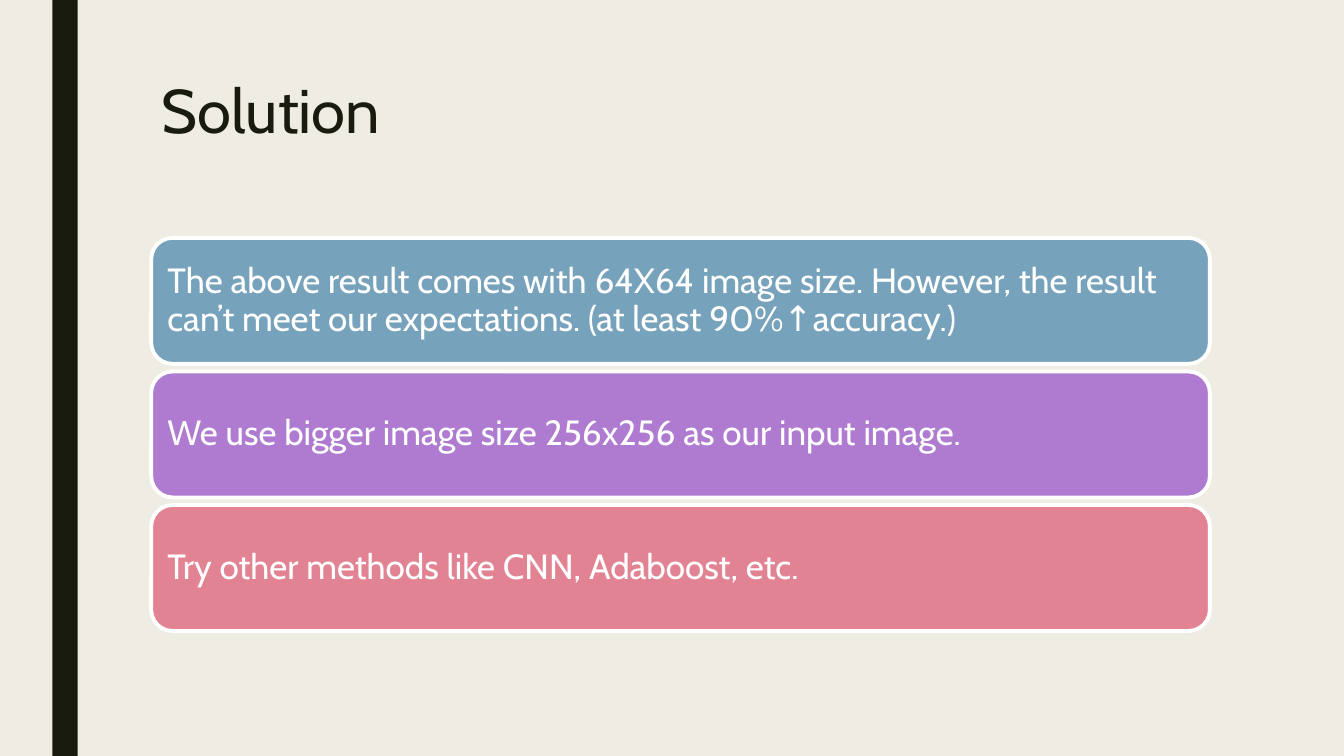
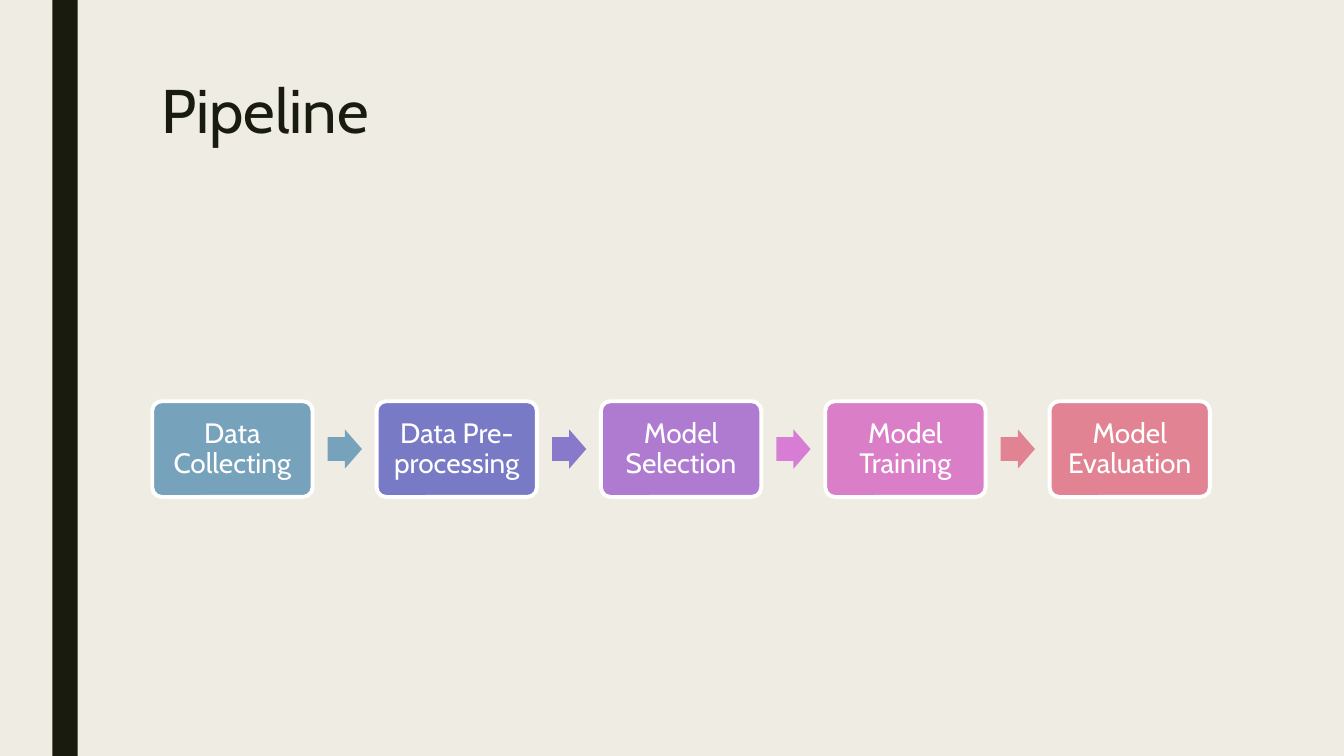
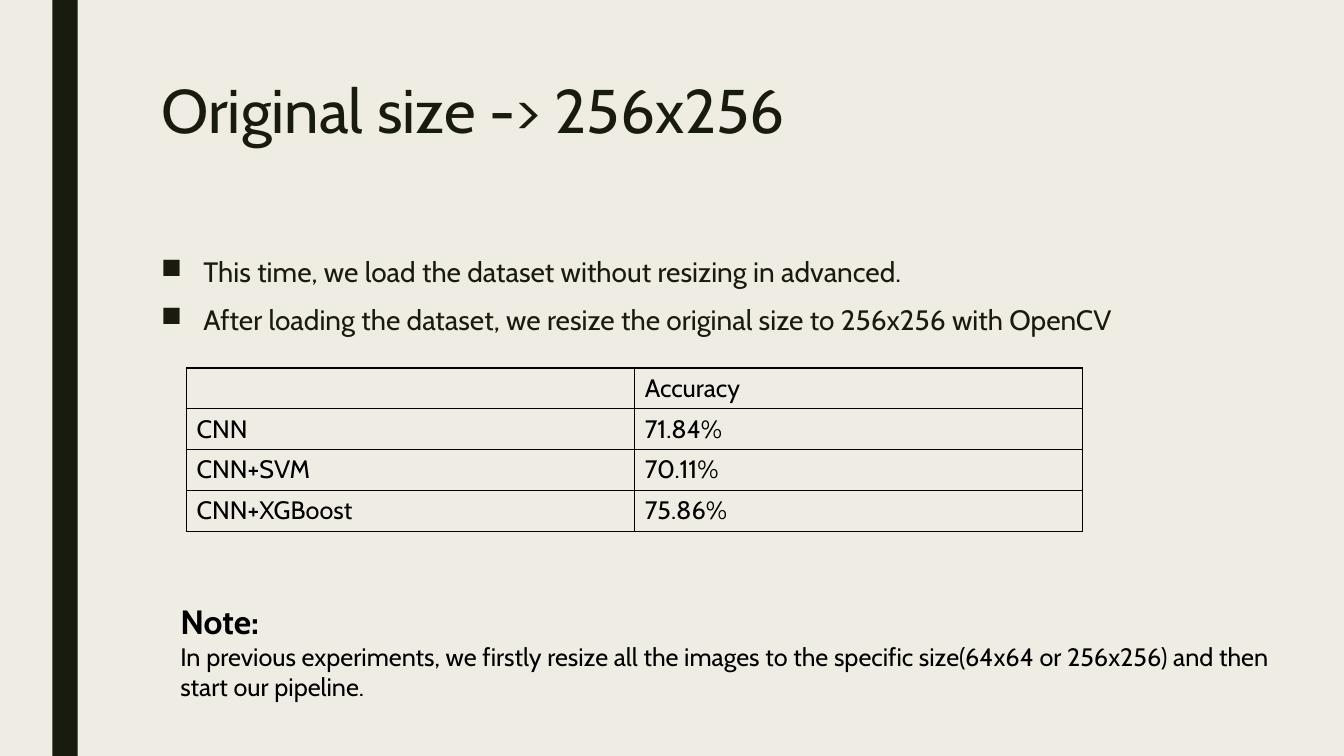
"""Build three slides on an image classification project: solution, pipeline and results."""
from dataclasses import dataclass

from lxml import etree
from pptx import Presentation
from pptx.dml.color import RGBColor
from pptx.enum.shapes import MSO_SHAPE
from pptx.enum.text import MSO_ANCHOR, MSO_AUTO_SIZE, PP_ALIGN
from pptx.oxml.ns import qn
from pptx.util import Inches, Pt

RECT = MSO_SHAPE.RECTANGLE
ROUNDED = MSO_SHAPE.ROUNDED_RECTANGLE
ARROW = MSO_SHAPE.RIGHT_ARROW
LEFT, CENTER = PP_ALIGN.LEFT, PP_ALIGN.CENTER
TOP, MIDDLE = MSO_ANCHOR.TOP, MSO_ANCHOR.MIDDLE
NO_FIT = MSO_AUTO_SIZE.NONE
FIT_SHAPE = MSO_AUTO_SIZE.SHAPE_TO_FIT_TEXT

FONT = "Cabin"
COLORS = {
    "paper": "EFEDE3",
    "ink": "191B0E",
    "black": "000000",
    "white": "FFFFFF",
    "blue": "77A2BB",
    "indigo": "797AC6",
    "violet": "8879CA",
    "purple": "AE7BD0",
    "orchid": "D77DD6",
    "pink": "DA7FC7",
    "rose": "E28394",
}
SLIDE_WIDTH, SLIDE_HEIGHT = 13.33, 7.5
CONTENT_LEFT, CONTENT_WIDTH = 1.5, 10.5


@dataclass(frozen=True)
class Box:
    """Position and size in inches."""
    left: float
    top: float
    width: float
    height: float

    def lengths(self):
        return tuple(Inches(v) for v in (self.left, self.top, self.width, self.height))


@dataclass(frozen=True)
class Card:
    """Wording and fill of a rounded card, and the fill of the arrow after it."""
    text: str
    color: str
    arrow_color: str = ""


@dataclass(frozen=True)
class CardStyle:
    """Look shared by the cards of one slide."""
    size: float
    inset: float
    align: PP_ALIGN
    corner: float


SOLUTIONS = (
    Card("The above result comes with 64X64 image size. However, the result "
         "can’t meet our expectations. (at least 90%↑accuracy.)", "blue"),
    Card("We use bigger image size 256x256 as our input image.", "purple"),
    Card("Try other methods like CNN, Adaboost, etc.", "rose"),
)
STAGES = (
    Card("Data Collecting", "blue", "blue"),
    Card("Data Pre-processing", "indigo", "violet"),
    Card("Model Selection", "purple", "orchid"),
    Card("Model Training", "pink", "rose"),
    Card("Model Evaluation", "rose"),
)
SOLUTION_STYLE = CardStyle(25, 0.1, LEFT, 0.17)
STAGE_STYLE = CardStyle(20, 0.08, CENTER, 0.1)
BULLETS = (
    "This time, we load the dataset without resizing in advanced.",
    "After loading the dataset, we resize the original size to 256x256 with OpenCV",
)
RESULTS = (
    ("", "Accuracy"),
    ("CNN", "71.84%"),
    ("CNN+SVM", "70.11%"),
    ("CNN+XGBoost", "75.86%"),
)
NOTE = ("In previous experiments, we firstly resize all the images to the specific "
        "size(64x64 or 256x256) and then start our pipeline.")


def rgb(name: str) -> RGBColor:
    return RGBColor.from_string(COLORS[name])


def add_run(paragraph, text: str, size: float, color: str, bold: bool = False) -> None:
    run = paragraph.add_run()
    run.text = text
    run.font.name = FONT
    run.font.size = Pt(size)
    run.font.bold = bold
    run.font.color.rgb = rgb(color)


def add_filled(slide, preset, box: Box, color: str):
    shape = slide.shapes.add_shape(preset, *box.lengths())
    shape.shadow.inherit = False
    shape.fill.solid()
    shape.fill.fore_color.rgb = rgb(color)
    shape.line.fill.background()
    return shape


def add_card(slide, box: Box, card: Card, style: CardStyle) -> None:
    shape = add_filled(slide, ROUNDED, box, card.color)
    shape.adjustments[0] = style.corner
    shape.line.color.rgb = rgb("white")
    shape.line.width = Pt(2.75)
    frame = shape.text_frame
    frame.word_wrap = True
    frame.vertical_anchor = MIDDLE
    inset = Inches(style.inset)
    frame.margin_left = frame.margin_right = inset
    frame.margin_top = frame.margin_bottom = inset
    paragraph = frame.paragraphs[0]
    paragraph.alignment = style.align
    paragraph.line_spacing = 0.9
    add_run(paragraph, card.text, style.size, "white")


def add_text_frame(slide, box: Box):
    frame = slide.shapes.add_textbox(*box.lengths()).text_frame
    frame.word_wrap = True
    return frame


def add_titled_slide(prs, heading: str, title_height: float = 1.62):
    slide = prs.slides.add_slide(prs.slide_layouts[5])
    add_filled(slide, RECT, Box(0.52, 0, 0.25, SLIDE_HEIGHT), "ink")
    title = slide.shapes.title
    box = Box(CONTENT_LEFT, 0.75, CONTENT_WIDTH, title_height)
    title.left, title.top, title.width, title.height = box.lengths()
    frame = title.text_frame
    frame.auto_size = NO_FIT
    frame.vertical_anchor = TOP
    paragraph = frame.paragraphs[0]
    paragraph.alignment = LEFT
    paragraph.line_spacing = 0.89
    add_run(paragraph, heading, 44, "ink")
    return slide


def add_bullet(paragraph, indent: float) -> None:
    properties = paragraph._p.get_or_add_pPr()
    properties.set("marL", str(Inches(indent)))
    properties.set("indent", str(-Inches(indent)))
    etree.SubElement(properties, qn("a:buChar"), char="■")


def add_borders(cell, color: str) -> None:
    properties = cell._tc.get_or_add_tcPr()
    for side in ("a:lnL", "a:lnR", "a:lnT", "a:lnB"):
        line = etree.SubElement(properties, qn(side), w=str(Pt(1)))
        fill = etree.SubElement(line, qn("a:solidFill"))
        etree.SubElement(fill, qn("a:srgbClr"), val=COLORS[color])


def add_results_table(slide, box: Box) -> None:
    table = slide.shapes.add_table(len(RESULTS), len(RESULTS[0]), *box.lengths()).table
    table.first_row = table.horz_banding = False
    for r, row in enumerate(RESULTS):
        for c, text in enumerate(row):
            cell = table.cell(r, c)
            add_borders(cell, "black")
            cell.fill.background()
            if text:
                add_run(cell.text_frame.paragraphs[0], text, 18, "black")


def build_solution(prs) -> None:
    slide = add_titled_slide(prs, "Solution", 1.3)
    top, bottom, height = 2.36, 6.26, 1.25
    pitch = (bottom - top - height) / (len(SOLUTIONS) - 1)
    for i, card in enumerate(SOLUTIONS):
        box = Box(CONTENT_LEFT, top + i * pitch, CONTENT_WIDTH, height)
        add_card(slide, box, card, SOLUTION_STYLE)


def build_pipeline(prs) -> None:
    slide = add_titled_slide(prs, "Pipeline")
    first, right, top, width, height = 1.51, 12.0, 3.98, 1.59, 0.95
    arrow_width, arrow_height, arrow_gap = 0.34, 0.39, 0.15
    pitch = (right - first - width) / (len(STAGES) - 1)
    arrow_top = top + (height - arrow_height) / 2
    for i, stage in enumerate(STAGES):
        left = first + i * pitch
        add_card(slide, Box(left, top, width, height), stage, STAGE_STYLE)
        if stage.arrow_color:
            box = Box(left + width + arrow_gap, arrow_top, arrow_width, arrow_height)
            arrow = add_filled(slide, ARROW, box, stage.arrow_color)
            arrow.adjustments[0] = 0.6


def build_results(prs) -> None:
    slide = add_titled_slide(prs, "Original size -> 256x256")
    body = add_text_frame(slide, Box(CONTENT_LEFT, 2.5, CONTENT_WIDTH, 3.92))
    for i, text in enumerate(BULLETS):
        paragraph = body.add_paragraph() if i else body.paragraphs[0]
        add_bullet(paragraph, 0.42)
        paragraph.line_spacing = 0.94
        paragraph.space_before = Pt(10 if i else 0)
        paragraph.space_after = Pt(2)
        add_run(paragraph, text, 20, "ink")
    add_results_table(slide, Box(1.85, 3.65, 8.89, 1.62))
    note = add_text_frame(slide, Box(1.69, 5.91, 11, 1.11))
    note.auto_size = FIT_SHAPE
    add_run(note.paragraphs[0], "Note:", 24, "black", bold=True)
    add_run(note.add_paragraph(), NOTE, 18, "black")


def main() -> None:
    prs = Presentation()
    prs.slide_width, prs.slide_height = Inches(SLIDE_WIDTH), Inches(SLIDE_HEIGHT)
    backdrop = prs.slide_master.background.fill
    backdrop.solid()
    backdrop.fore_color.rgb = rgb("paper")
    build_solution(prs)
    build_pipeline(prs)
    build_results(prs)
    prs.save("out.pptx")


if __name__ == "__main__":
    main()
